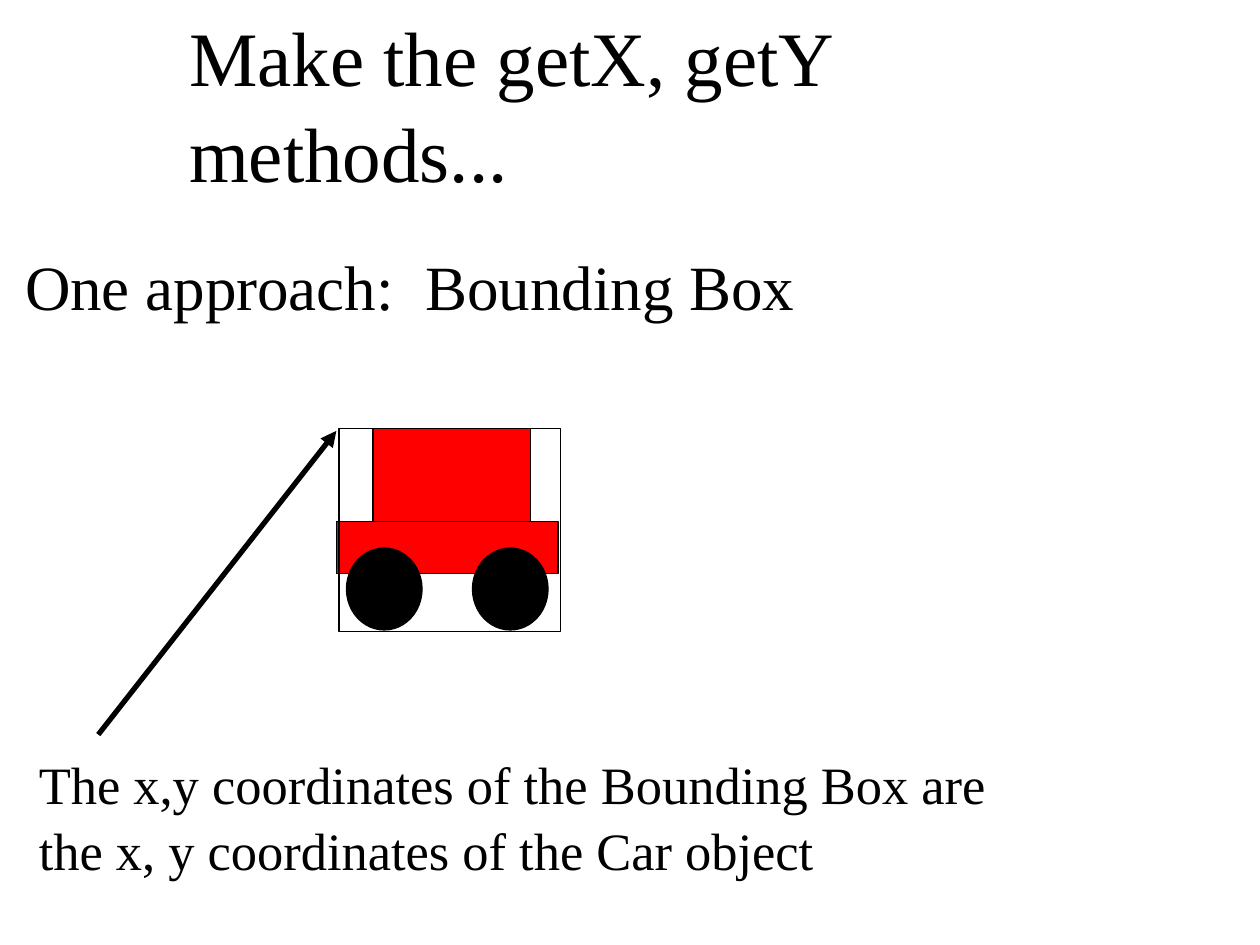
"""Build the Bounding Box slide."""
from lxml.etree import SubElement
from pptx import Presentation
from pptx.dml.color import RGBColor
from pptx.enum.shapes import MSO_CONNECTOR, MSO_SHAPE
from pptx.enum.text import MSO_ANCHOR, MSO_AUTO_SIZE, PP_ALIGN
from pptx.oxml.ns import qn
from pptx.util import Inches, Pt

BLACK = RGBColor(0, 0, 0)
RED = RGBColor(255, 0, 0)
FONT = "Times New Roman"

TITLE = ("Make the getX, getY methods...", 44, (1.4, 0, 7.04, 0.83), 0.05)
NOTES = [
    ("One approach:  Bounding Box", 36, (0.1, 1.89, 9.81, 0.83), 0.05),
    ("The x,y coordinates of the Bounding Box are the x, y coordinates "
     "of the Car object", 30, (0.21, 5.85, 8.03, 0.94), 0.1),
]
WHEELS = [(MSO_SHAPE.OVAL, (2.75 + step, 4.35, 0.6, 0.65), BLACK)
          for step in (0, 1)]
CAR = [
    (MSO_SHAPE.RECTANGLE, (2.96, 3.4, 1.25, 0.75), RED),
    (MSO_SHAPE.RECTANGLE, (2.67, 4.14, 1.76, 0.41), RED),
    *WHEELS,
    (MSO_SHAPE.RECTANGLE, (2.69, 3.4, 1.76, 1.61), None),
]
ARROW = (0.78, 5.83, 2.67, 3.42)


def put(item, values):
    for name, value in values.items():
        setattr(item, name, value)


def inch(box):
    return [Inches(part) for part in box]


def write(shape, text, size, box, pad):
    put(shape, dict(zip(("left", "top", "width", "height"), inch(box))))
    frame = shape.text_frame
    put(frame, {
        "text": text, "word_wrap": True,
        "auto_size": MSO_AUTO_SIZE.NONE, "vertical_anchor": MSO_ANCHOR.TOP,
        "margin_left": Inches(0.1), "margin_right": Inches(0.1),
        "margin_top": Inches(pad), "margin_bottom": Inches(pad),
    })
    para = frame.paragraphs[0]
    put(para, {"alignment": PP_ALIGN.LEFT, "line_spacing": 1.04,
               "space_before": Pt(round(size * 0.07))})
    font = para.runs[0].font
    put(font, {"name": FONT, "size": Pt(size)})
    font.color.rgb = BLACK


def ink(line, width):
    line.color.rgb = BLACK
    line.width = Pt(width)


deck = Presentation()
put(deck, {"slide_width": Inches(10), "slide_height": Inches(7.5)})
slide = deck.slides.add_slide(deck.slide_layouts[5])
shapes = slide.shapes
write(shapes.title, *TITLE)

for kind, box, fill in CAR:
    part = shapes.add_shape(kind, *inch(box))
    part.shadow.inherit = False
    ink(part.line, 0.75)
    if fill is None:
        part.fill.background()
    else:
        part.fill.solid()
        part.fill.fore_color.rgb = fill

for note in NOTES:
    write(shapes.add_textbox(*inch(note[2])), *note)

arrow = shapes.add_connector(MSO_CONNECTOR.STRAIGHT, *inch(ARROW))
ink(arrow.line, 3)
SubElement(arrow.line._get_or_add_ln(), qn("a:tailEnd"), type="triangle")
SubElement(arrow._element.spPr, qn("a:effectLst"))

deck.save("out.pptx")
